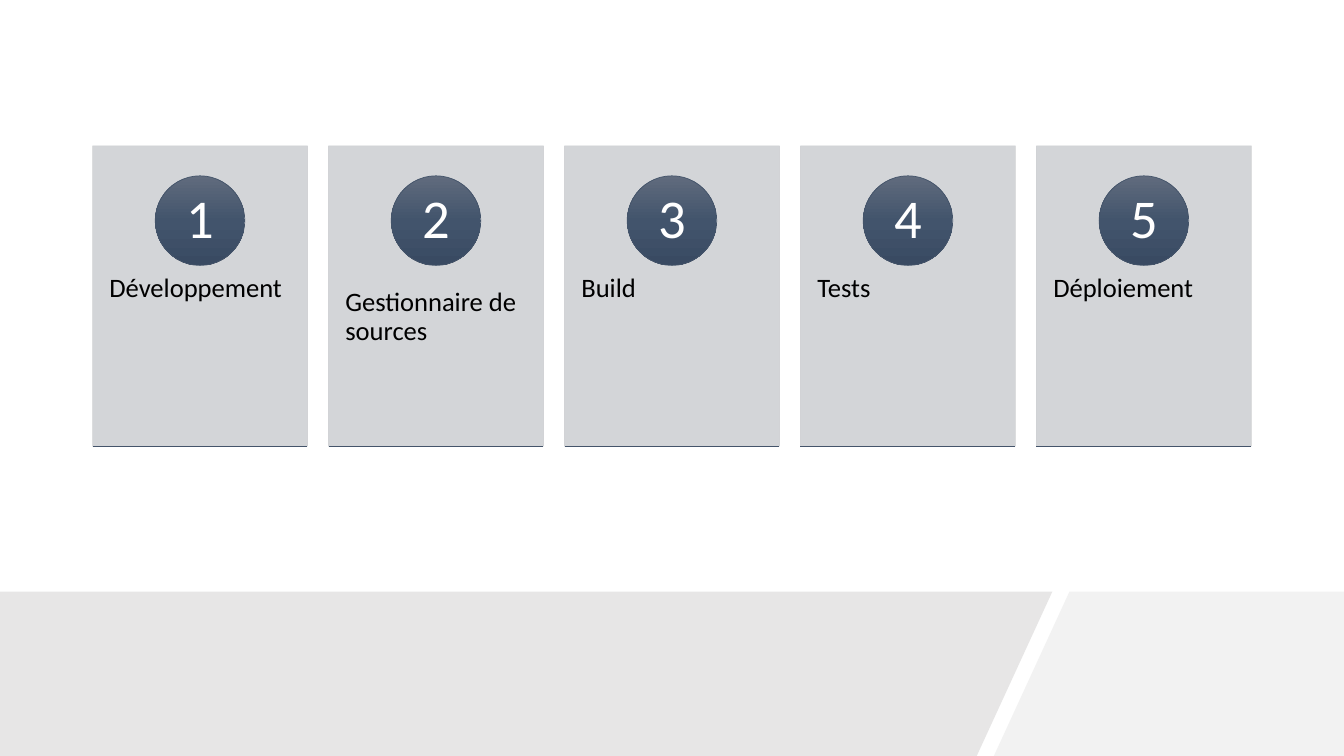
from copy import deepcopy

from pptx import Presentation
from pptx.dml.color import RGBColor
from pptx.enum.shapes import MSO_CONNECTOR, MSO_SHAPE
from pptx.enum.text import MSO_ANCHOR, PP_ALIGN
from pptx.oxml.ns import qn
from pptx.oxml.xmlchemy import OxmlElement
from pptx.util import Pt

STEPS = ["Développement", "Gestionnaire de sources", "Build", "Tests", "Déploiement"]

WHITE = RGBColor(0xFF, 0xFF, 0xFF)
BLACK = RGBColor(0x00, 0x00, 0x00)
CARD_GREY = RGBColor(0xCF, 0xD1, 0xD4)
SLATE = RGBColor(0x44, 0x54, 0x6A)
BADGE_STOPS = [
    (0, RGBColor(0x60, 0x6B, 0x7D)),
    (0.5, RGBColor(0x42, 0x54, 0x6C)),
    (1, RGBColor(0x39, 0x4A, 0x62)),
]

# Footer bands: colour and corner points
BANDS = [
    (RGBColor(0xF2, 0xF2, 0xF2), [(763.9, 422.6), (960, 422.6), (960, 540), (709.9, 540)]),
    (RGBColor(0xE7, 0xE6, 0xE6), [(-1.4, 422.6), (751.7, 422.6), (697.7, 540), (-1.4, 540)]),
]

SLIDE_W, SLIDE_H = 960, 540
CARD_W, CARD_H, CARD_TOP = 153.5, 214.5, 104.2
CARD_GAP = 15.05
BADGE, BADGE_TOP = 64, 125.6
LABEL_TOP, LABEL_H = 185.8, 128.9
LINE_W = 0.5


def write(shape, text, *, size, color, align=PP_ALIGN.LEFT,
          anchor=MSO_ANCHOR.TOP, inset=(0, 0)):
    """Fill a shape with one paragraph; inset is (horizontal, vertical)."""
    frame = shape.text_frame
    frame.word_wrap = True
    frame.vertical_anchor = anchor
    frame.margin_left = frame.margin_right = Pt(inset[0])
    frame.margin_top = frame.margin_bottom = Pt(inset[1])
    paragraph = frame.paragraphs[0]
    paragraph.alignment = align
    paragraph.line_spacing = 0.9
    run = paragraph.add_run()
    run.text = text
    run.font.name = "Calibri"
    run.font.size = Pt(size)
    run.font.color.rgb = color


def add_band(slide, color, corners):
    points = [(Pt(x), Pt(y)) for x, y in corners]
    builder = slide.shapes.build_freeform(*points[0], scale=1.0)
    builder.add_line_segments(points[1:], close=True)
    band = builder.convert_to_shape()
    band.shadow.inherit = False
    band.fill.solid()
    band.fill.fore_color.rgb = color
    band.line.fill.background()


def add_outlined(slide, preset, left, top, width, height, line_color):
    shape = slide.shapes.add_shape(preset, Pt(left), Pt(top), Pt(width), Pt(height))
    shape.shadow.inherit = False
    shape.line.color.rgb = line_color
    shape.line.width = Pt(LINE_W)
    return shape


def add_card(slide, left):
    card = add_outlined(slide, MSO_SHAPE.RECTANGLE, left, CARD_TOP, CARD_W, CARD_H, CARD_GREY)
    card.fill.solid()
    card.fill.fore_color.rgb = CARD_GREY
    for color in card._element.spPr.iter(qn("a:srgbClr")):
        alpha = OxmlElement("a:alpha")
        alpha.set("val", "90000")
        color.append(alpha)


def add_badge(slide, left, number):
    badge = add_outlined(slide, MSO_SHAPE.OVAL, left + (CARD_W - BADGE) / 2, BADGE_TOP,
                         BADGE, BADGE, SLATE)
    badge.fill.gradient()
    badge.fill.gradient_angle = 270
    stop_list = next(badge._element.spPr.iter(qn("a:gsLst")))
    stop_list.append(deepcopy(stop_list[0]))
    for stop, (position, color) in zip(badge.fill.gradient_stops, BADGE_STOPS):
        stop.position = position
        stop.color.rgb = color
    write(badge, str(number), size=39, color=WHITE, align=PP_ALIGN.CENTER,
          anchor=MSO_ANCHOR.MIDDLE)


def add_baseline(slide, left):
    bottom = Pt(CARD_TOP + CARD_H)
    baseline = slide.shapes.add_connector(
        MSO_CONNECTOR.STRAIGHT, Pt(left), bottom, Pt(left + CARD_W), bottom)
    baseline.line.color.rgb = SLATE
    baseline.line.width = Pt(LINE_W)
    baseline._element.spPr.append(OxmlElement("a:effectLst"))


def main():
    deck = Presentation()
    deck.slide_width, deck.slide_height = Pt(SLIDE_W), Pt(SLIDE_H)
    slide = deck.slides.add_slide(deck.slide_layouts[6])

    for color, corners in BANDS:
        add_band(slide, color, corners)

    row_width = len(STEPS) * (CARD_W + CARD_GAP) - CARD_GAP
    first_left = (SLIDE_W - row_width) / 2
    for index, step in enumerate(STEPS):
        left = first_left + index * (CARD_W + CARD_GAP)
        add_card(slide, left)
        label = slide.shapes.add_textbox(Pt(left), Pt(LABEL_TOP), Pt(CARD_W), Pt(LABEL_H))
        write(label, step, size=19, color=BLACK, inset=(12, 26))
        add_badge(slide, left, index + 1)
        add_baseline(slide, left)

    deck.save("out.pptx")


if __name__ == "__main__":
    main()
